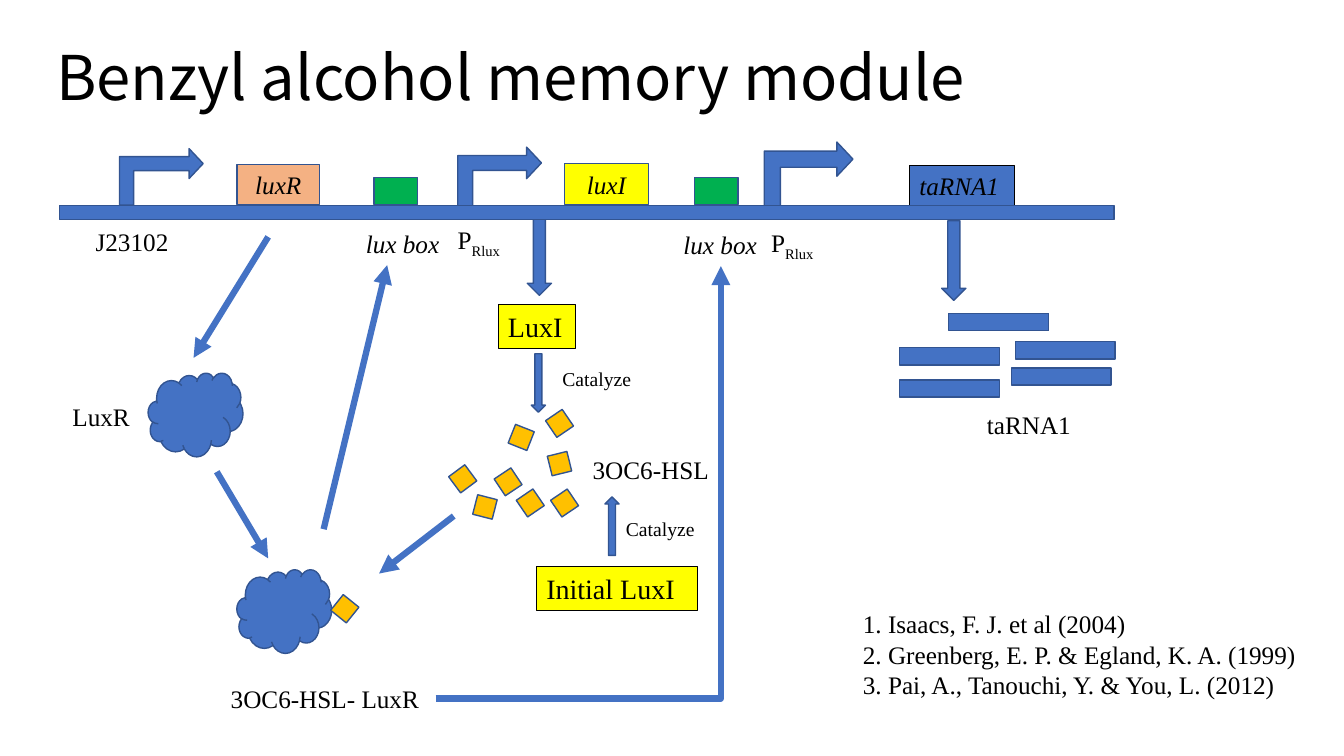
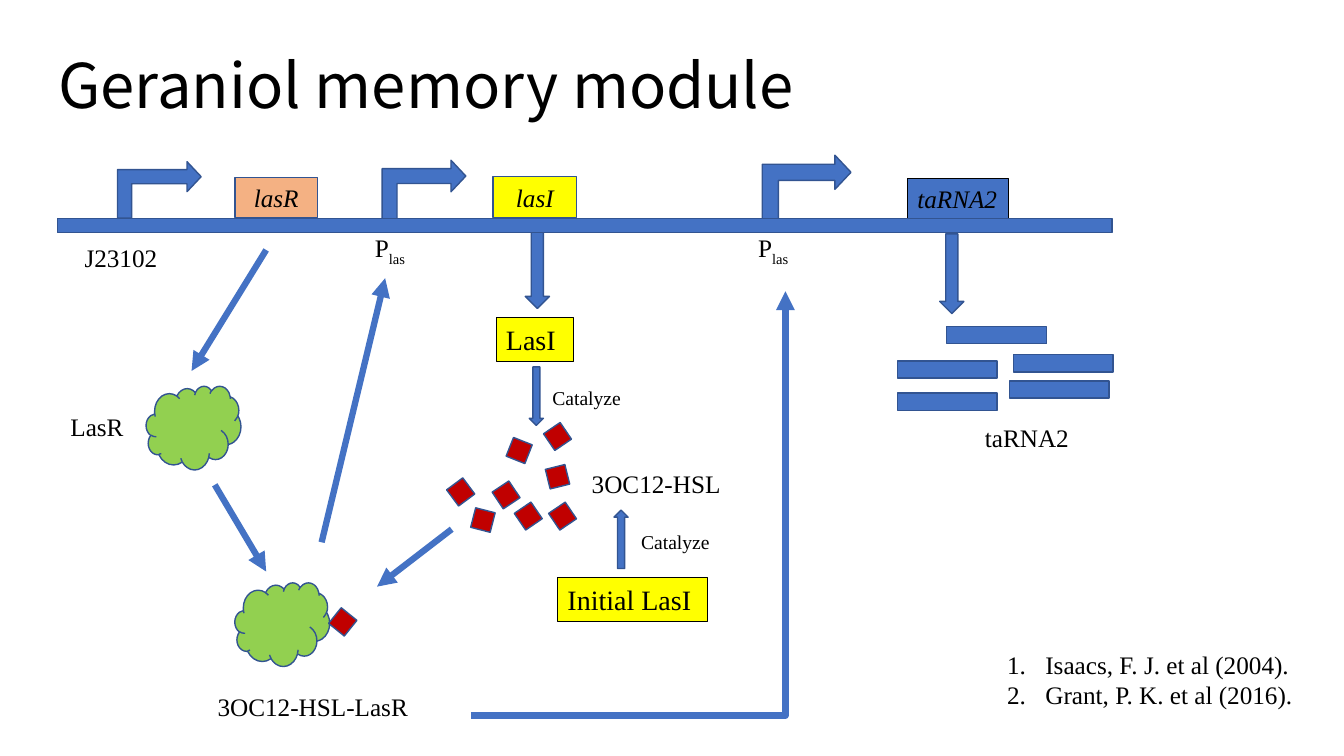
from dataclasses import dataclass

from lxml.etree import SubElement
from pptx import Presentation
from pptx.dml.color import RGBColor
from pptx.enum.shapes import MSO_CONNECTOR, MSO_SHAPE
from pptx.enum.text import MSO_ANCHOR, PP_ALIGN
from pptx.oxml.ns import qn
from pptx.util import Inches, Pt


@dataclass(frozen=True)
class Theme:
    title_font: str = "Noto Sans CJK SC"
    body_font: str = "Times New Roman"
    title_size: int = 44
    box_size: int = 20
    label_size: int = 18
    note_size: int = 14
    ink: str = "000000"
    blue: str = "4472C4"
    outline: str = "325491"
    regulator: str = "F4B183"
    enzyme: str = "FFFF00"
    lux_box: str = "00B050"
    outline_width: float = 1
    frame_width: float = 0.75
    arrow_width: float = 4.5


THEME = Theme()
SLIDE_SIZE = (13.33, 7.5)
LABEL_HEIGHT, NOTE_HEIGHT = 0.4, 0.34

# Places are inches from the origin of each module's diagram.
DNA = (0.59, 2.04, 10.46, 0.14)
SIGNAL_SIDE = 0.2
SIGNALS = [  # left, top, rotation
    (5.07, 4.24, 21.6), (5.45, 4.10, 325.8), (4.94, 4.68, 326.3),
    (4.71, 4.93, 14.4), (5.45, 4.50, 346.1), (4.49, 4.65, 323.4),
    (5.16, 4.89, 325.7), (5.50, 4.89, 325.9), (3.32, 5.94, 38.8),
]
PROTEINS = [(1.47, 3.70), (2.35, 5.65)]
PROTEIN_SIZE = (0.94, 0.83)
STRANDS = [(8.92, 3.45), (10.07, 3.39), (8.92, 3.77), (10.03, 3.65), (9.41, 3.11)]
STRAND_SIZE = (0.99, 0.17)
EXPRESSION_ARROWS = [(5.23, 2.14), (9.34, 2.19)]
EXPRESSION_SIZE = (0.24, 0.79)
CATALYSIS_SIZE = (0.14, 0.58)
FLOW_ARROWS = [  # from, to
    ((3.21, 5.25), (3.84, 2.63)),
    ((2.15, 4.68), (2.66, 5.54)),
    ((4.50, 5.12), (3.76, 5.69)),
    ((2.66, 2.35), (1.92, 3.55)),
]

MODULES = [
    {
        "title": "Benzyl alcohol memory module", "title_at": (0.46, 0.07),
        "origin": (0, 0), "protein": "4472C4", "signal": "FFC000",
        "regulator_gene": "luxR", "enzyme_gene": ("luxI", 5.6),
        "rna": ("taRNA1", 1.04),
        "promoters": [(1.32, 1.34, 0.56, 0.83), (4.66, 1.34, 0.59, 0.83),
                      (7.70, 1.29, 0.64, 0.88)],
        "promoter_labels": [("Rlux", 4.44, 2.18), ("Rlux", 7.55, 2.21)],
        "lux_boxes": [(3.71, 3.53, 2.22), (6.89, 6.68, 2.23)],
        "enzyme": "LuxI", "initial": ("Initial LuxI", 5.32, 5.62, 1.6),
        "initial_arrow": 6.0,
        "labels": [("J23102", 0.85, 2.20, 0.94), ("LuxR", 0.62, 3.93, 0.82),
                   ("3OC6-HSL", 5.78, 4.46, 1.44),
                   ("3OC6-HSL- LuxR", 2.19, 6.73, 2.14)],
        "catalyze": [(5.48, 3.59), (6.11, 5.08)],
        "feedback": ((4.32, 6.93), (7.15, 2.64)),
        "references": ["1. Isaacs, F. J. et al (2004)",
                       "2. Greenberg, E. P. & Egland, K. A. (1999)",
                       "3. Pai, A., Tanouchi, Y. & You, L. (2012)"],
        "references_at": (8.46, 5.99, 4.66, 1.01), "numbered": False,
    },
    {
        "title": "Geraniol memory module", "title_at": (0.48, 0.15),
        "origin": (-0.02, 0.13), "protein": "92D050", "signal": "C00000",
        "regulator_gene": "lasR", "enzyme_gene": ("lasI", 4.91),
        "rna": ("taRNA2", 1.0),
        "promoters": [(1.32, 1.34, 0.56, 0.83), (3.93, 1.34, 0.59, 0.83),
                      (7.70, 1.29, 0.64, 0.88)],
        "promoter_labels": [("las", 3.64, 2.13), ("las", 7.44, 2.13)],
        "lux_boxes": [],
        "enzyme": "LasI", "initial": ("Initial LasI", 5.55, 5.6, 1.49),
        "initial_arrow": 6.11,
        "labels": [("J23102", 0.76, 2.22, 0.94), ("LasR", 0.62, 3.90, 0.82),
                   ("3OC12-HSL", 5.79, 4.47, 1.49),
                   ("3OC12-HSL-LasR", 2.08, 6.68, 2.17)],
        "catalyze": [(5.40, 3.65), (6.28, 5.08)],
        "feedback": ((4.69, 6.97), (7.81, 2.76)),
        "references": ["Isaacs, F. J. et al (2004).", "Grant, P. K. et al (2016)."],
        "references_at": (9.91, 6.26, 3.4, 0.71), "numbered": True,
    },
]


def number_paragraph(paragraph):
    properties = paragraph._p.get_or_add_pPr()
    properties.set("marL", str(Inches(0.38)))
    properties.set("indent", str(Inches(-0.38)))
    SubElement(properties, qn("a:buFont"), typeface=THEME.body_font)
    SubElement(properties, qn("a:buAutoNum"), type="arabicPeriod")


def write(frame, paragraphs, size=THEME.label_size, font=THEME.body_font, italic=False,
          align=PP_ALIGN.LEFT, anchor=MSO_ANCHOR.TOP, numbered=False):
    """Fill a frame; each paragraph is a list of runs, the second run a subscript."""
    frame.word_wrap = True
    frame.vertical_anchor = anchor
    for index, runs in enumerate(paragraphs):
        paragraph = frame.paragraphs[0] if index == 0 else frame.add_paragraph()
        paragraph.alignment = align
        if numbered:
            number_paragraph(paragraph)
        for position, text in enumerate(runs):
            run = paragraph.add_run()
            run.text = text
            run.font.name, run.font.size, run.font.italic = font, Pt(size), italic
            run.font.color.rgb = RGBColor.from_string(THEME.ink)
            if position == 1:
                run._r.get_or_add_rPr().set("baseline", "-25000")


class Diagram:
    """Draws on one slide, with every place counted from the diagram's origin."""

    def __init__(self, slide, origin):
        self.shapes = slide.shapes
        self.origin = origin

    def place(self, x, y):
        return Inches(x + self.origin[0]), Inches(y + self.origin[1])

    def shape(self, kind, x, y, width, height, fill=THEME.blue, rotation=0, framed=False):
        shape = self.shapes.add_shape(kind, *self.place(x, y), Inches(width), Inches(height))
        shape.shadow.inherit = False
        shape.rotation = rotation
        shape.fill.solid()
        shape.fill.fore_color.rgb = RGBColor.from_string(fill)
        shape.line.color.rgb = RGBColor.from_string(THEME.ink if framed else THEME.outline)
        shape.line.width = Pt(THEME.frame_width if framed else THEME.outline_width)
        return shape

    def promoter(self, *box):
        arrow = self.shape(MSO_SHAPE.BENT_UP_ARROW, *box, rotation=270)
        arrow.adjustments[1] = 0.265
        arrow._element.spPr.find(qn("a:xfrm")).set("flipV", "1")

    def gene(self, name, x, y, width, height, fill):
        box = self.shape(MSO_SHAPE.RECTANGLE, x, y, width, height, fill)
        write(box.text_frame, [[name]], italic=True, align=PP_ALIGN.CENTER,
              anchor=MSO_ANCHOR.MIDDLE)

    def framed_box(self, text, x, y, width, height, fill, **style):
        box = self.shape(MSO_SHAPE.RECTANGLE, x, y, width, height, fill, framed=True)
        write(box.text_frame, [[text]], **style)

    def text(self, paragraphs, x, y, width, height=LABEL_HEIGHT, **style):
        box = self.shapes.add_textbox(*self.place(x, y), Inches(width), Inches(height))
        write(box.text_frame, paragraphs, **style)
        return box

    def arrow(self, start, end, elbow=False):
        kind = MSO_CONNECTOR.ELBOW if elbow else MSO_CONNECTOR.STRAIGHT
        connector = self.shapes.add_connector(kind, *self.place(*start), *self.place(*end))
        connector.line.color.rgb = RGBColor.from_string(THEME.blue)
        connector.line.width = Pt(THEME.arrow_width)
        properties = connector._element.spPr
        SubElement(properties.find(qn("a:ln")), qn("a:tailEnd"), type="triangle")
        SubElement(properties, qn("a:effectLst"))
        if elbow:  # one single corner
            properties.find(qn("a:prstGeom")).set("prst", "bentConnector2")


def draw_title(slide, module):
    box = Diagram(slide, (0, 0)).text(
        [[module["title"]]], *module["title_at"], 11.5, 1.45, size=THEME.title_size,
        font=THEME.title_font, anchor=MSO_ANCHOR.MIDDLE)
    box.text_frame.paragraphs[0].line_spacing = 0.9


def draw_dna(diagram, module):
    enzyme_gene, enzyme_x = module["enzyme_gene"]
    rna, rna_width = module["rna"]
    for arrow in EXPRESSION_ARROWS:
        diagram.shape(MSO_SHAPE.DOWN_ARROW, *arrow, *EXPRESSION_SIZE)
    diagram.gene(module["regulator_gene"], 2.35, 1.63, 0.82, 0.4, THEME.regulator)
    diagram.gene(enzyme_gene, enzyme_x, 1.62, 0.83, 0.41, THEME.enzyme)
    diagram.framed_box(rna, 9.02, 1.64, rna_width, 0.4, THEME.blue, italic=True)
    for promoter in module["promoters"]:
        diagram.promoter(*promoter)
    diagram.shape(MSO_SHAPE.RECTANGLE, *DNA)
    for subscript, x, y in module["promoter_labels"]:
        diagram.text([["P", subscript]], x, y, 0.87)
    for box_x, label_x, label_y in module["lux_boxes"]:
        diagram.shape(MSO_SHAPE.RECTANGLE, box_x, 1.76, 0.43, 0.27, THEME.lux_box)
        diagram.text([["lux box"]], label_x, label_y, 0.94, italic=True)


def draw_pathway(diagram, module):
    initial, x, y, width = module["initial"]
    diagram.framed_box(module["enzyme"], 4.94, 3.02, 0.77, 0.44, THEME.enzyme,
                       size=THEME.box_size)
    diagram.framed_box(initial, x, y, width, 0.44, THEME.enzyme, size=THEME.box_size)
    diagram.shape(MSO_SHAPE.DOWN_ARROW, 5.27, 3.51, *CATALYSIS_SIZE)
    diagram.shape(MSO_SHAPE.DOWN_ARROW, module["initial_arrow"], 4.93, *CATALYSIS_SIZE,
                  rotation=180)
    for strand in STRANDS:
        diagram.shape(MSO_SHAPE.FLOWCHART_PROCESS, *strand, *STRAND_SIZE)
    diagram.text([[module["rna"][0]]], 9.69, 4.01, 1.04)
    for start, end in FLOW_ARROWS:
        diagram.arrow(start, end)
    diagram.arrow(*module["feedback"], elbow=True)
    for protein in PROTEINS:
        diagram.shape(MSO_SHAPE.CLOUD, *protein, *PROTEIN_SIZE, module["protein"])
    for left, top, rotation in SIGNALS:
        diagram.shape(MSO_SHAPE.RECTANGLE, left, top, SIGNAL_SIDE, SIGNAL_SIDE,
                      module["signal"], rotation)
    for label, left, top, label_width in module["labels"]:
        diagram.text([[label]], left, top, label_width)
    for note in module["catalyze"]:
        diagram.text([["Catalyze"]], *note, 1.1, NOTE_HEIGHT, size=THEME.note_size)


def main():
    deck = Presentation()
    deck.slide_width, deck.slide_height = map(Inches, SLIDE_SIZE)
    for module in MODULES:
        slide = deck.slides.add_slide(deck.slide_layouts[6])
        diagram = Diagram(slide, module["origin"])
        draw_title(slide, module)
        draw_dna(diagram, module)
        draw_pathway(diagram, module)
        diagram.text([[entry] for entry in module["references"]],
                     *module["references_at"], numbered=module["numbered"])
    deck.save("out.pptx")


if __name__ == "__main__":
    main()
